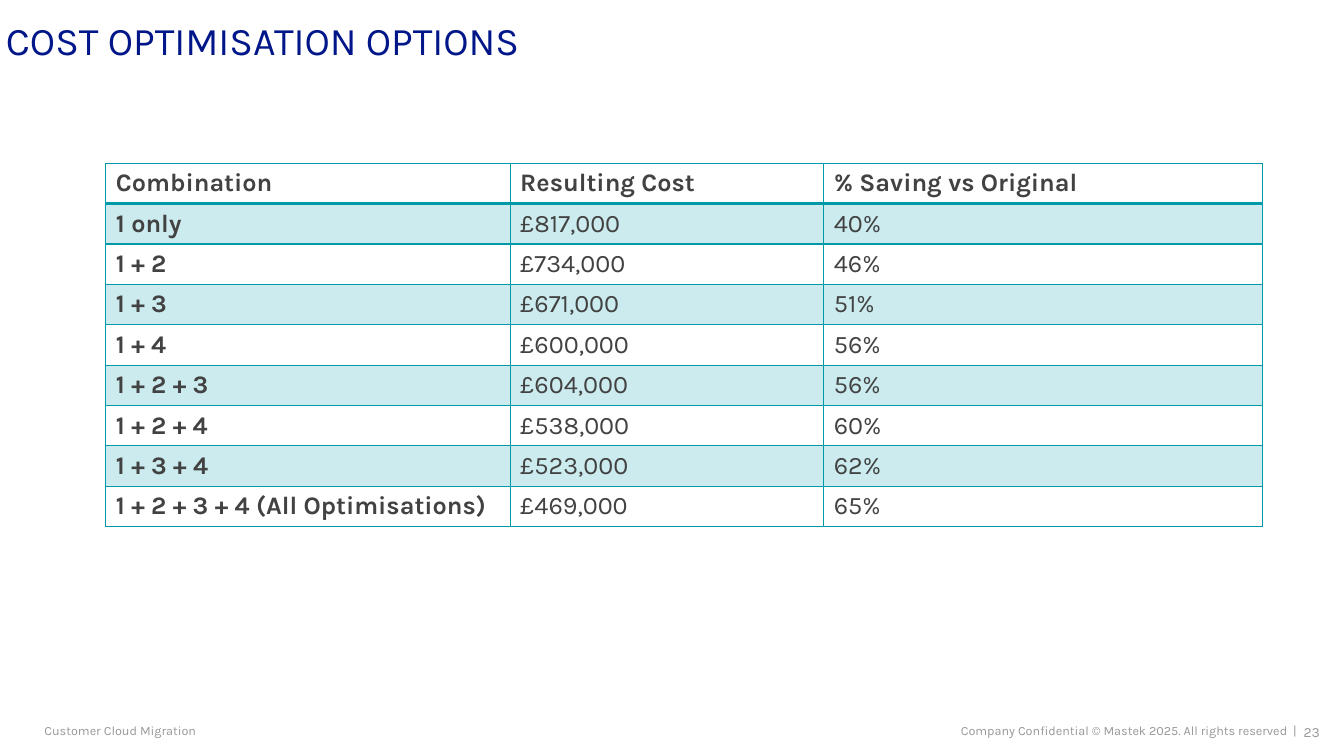
from lxml.etree import SubElement
from pptx import Presentation
from pptx.dml.color import RGBColor
from pptx.enum.text import MSO_ANCHOR, PP_ALIGN
from pptx.oxml.ns import qn
from pptx.util import Inches, Pt

FONT = "Karla"
NAVY = "001689"
TEAL = "0099A8"
PALE_TEAL = "CCEBEE"
DARK_GREY = "424242"
FOOTER_GREY = "98989A"

COLUMN_WIDTHS = [4.01, 3.11, 4.35]
ROW_HEIGHT = 0.39
COST_ROWS = [
    ("Combination", "Resulting Cost", "% Saving vs Original"),
    ("1 only", "£817,000", "40%"),
    ("1 + 2", "£734,000", "46%"),
    ("1 + 3", "£671,000", "51%"),
    ("1 + 4", "£600,000", "56%"),
    ("1 + 2 + 3", "£604,000", "56%"),
    ("1 + 2 + 4", "£538,000", "60%"),
    ("1 + 3 + 4", "£523,000", "62%"),
    ("1 + 2 + 3 + 4 (All Optimisations)", "£469,000", "65%"),
]


def color(value):
    return RGBColor.from_string(value)


def add_run(paragraph, text, size, text_color, bold=False):
    run = paragraph.add_run()
    run.text = text
    run.font.name = FONT
    run.font.size = Pt(size)
    run.font.bold = bold
    run.font.color.rgb = color(text_color)


def add_text(slide, text, left, top, width, height, size, text_color,
             anchor=MSO_ANCHOR.MIDDLE, align=PP_ALIGN.LEFT, line_spacing=1.0, inset=0):
    shape = slide.shapes.add_textbox(Inches(left), Inches(top), Inches(width), Inches(height))
    frame = shape.text_frame
    frame.word_wrap = True
    frame.vertical_anchor = anchor
    frame.margin_left = frame.margin_right = 0
    frame.margin_top = frame.margin_bottom = Inches(inset)
    paragraph = frame.paragraphs[0]
    paragraph.alignment = align
    paragraph.line_spacing = line_spacing
    add_run(paragraph, text, size, text_color)


def set_border(cell, side, width):
    properties = cell._tc.get_or_add_tcPr()
    line = SubElement(properties, qn(f"a:ln{side}"), w=str(Pt(width)))
    fill = SubElement(line, qn("a:solidFill"))
    SubElement(fill, qn("a:srgbClr"), val=TEAL)


def fill_cell(cell, text, row, column):
    header = row == 0
    cell.vertical_anchor = MSO_ANCHOR.MIDDLE
    add_run(cell.text_frame.paragraphs[0], text, 18, DARK_GREY, bold=header or column == 0)
    set_border(cell, "L", 1)
    set_border(cell, "R", 1)
    set_border(cell, "T", 2 if row == 1 else 1)
    set_border(cell, "B", 2 if header else 1)
    if row % 2:
        cell.fill.solid()
        cell.fill.fore_color.rgb = color(PALE_TEAL)
    else:
        cell.fill.background()


def add_cost_table(slide):
    frame = slide.shapes.add_table(
        len(COST_ROWS), len(COLUMN_WIDTHS), Inches(1.05), Inches(1.62),
        Inches(sum(COLUMN_WIDTHS)), Inches(ROW_HEIGHT * len(COST_ROWS)))
    table = frame.table
    for column, width in enumerate(COLUMN_WIDTHS):
        table.columns[column].width = Inches(width)
    for row, texts in enumerate(COST_ROWS):
        table.rows[row].height = Inches(ROW_HEIGHT)
        for column, text in enumerate(texts):
            fill_cell(table.cell(row, column), text, row, column)


def main():
    presentation = Presentation()
    presentation.slide_width = Inches(13.33)
    presentation.slide_height = Inches(7.5)
    slide = presentation.slides.add_slide(presentation.slide_layouts[6])
    add_text(slide, "COST OPTIMISATION OPTIONS", 0.06, 0.15, 11.97, 0.48, 28, NAVY,
             anchor=MSO_ANCHOR.BOTTOM, line_spacing=0.9)
    add_cost_table(slide)
    add_text(slide, "Customer Cloud Migration", 0.44, 7.13, 3.73, 0.24, 9, FOOTER_GREY)
    add_text(slide, "Company Confidential © Mastek 2025. All rights reserved\u00a0 |".replace("\u00a0", " "),
             7.9, 7.13, 4.96, 0.24, 9, FOOTER_GREY, align=PP_ALIGN.RIGHT)
    add_text(slide, "23", 12.84, 7.13, 0.25, 0.27, 10, FOOTER_GREY,
             anchor=MSO_ANCHOR.TOP, align=PP_ALIGN.RIGHT, inset=0.05)
    presentation.save("out.pptx")


if __name__ == "__main__":
    main()
